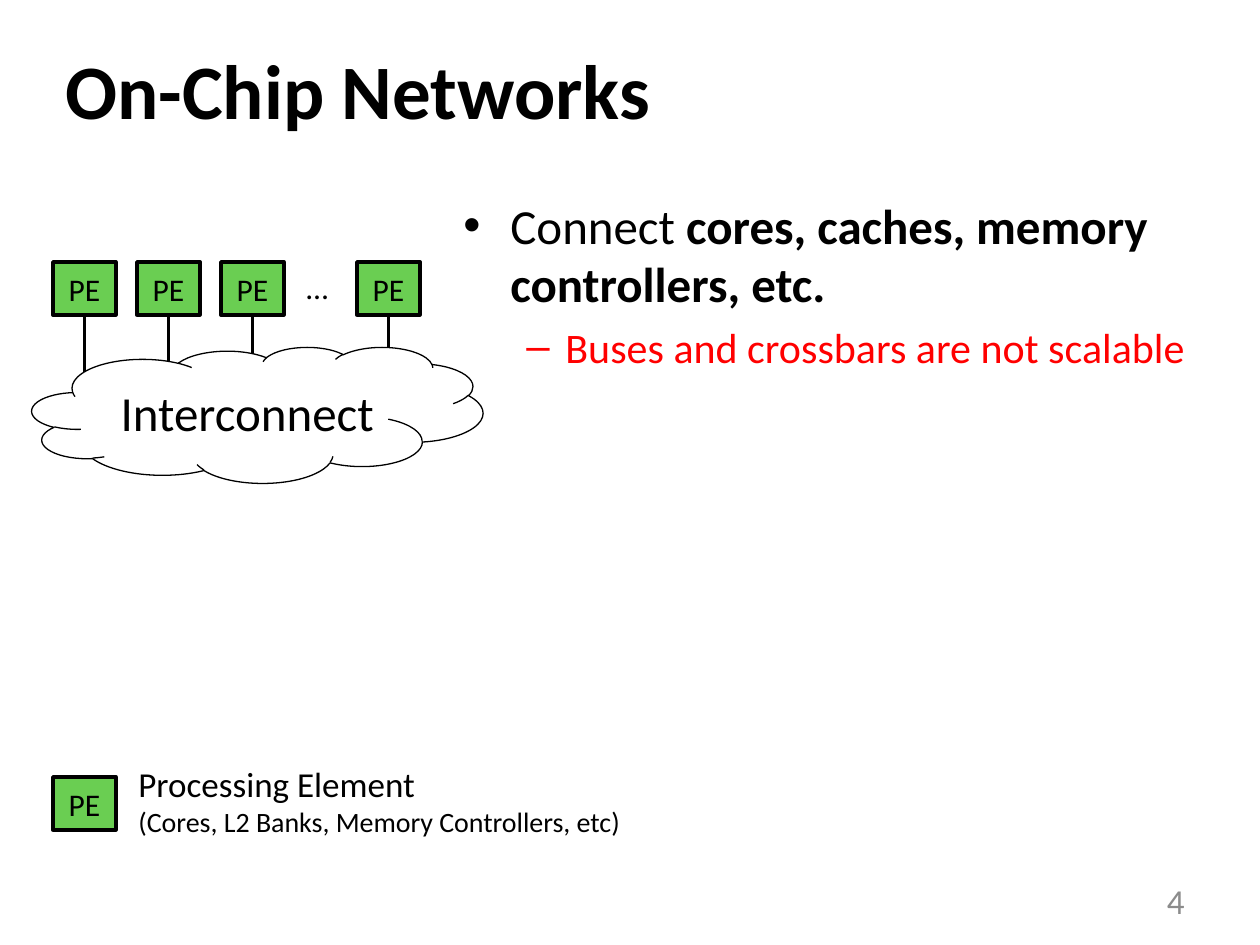
from dataclasses import dataclass
from typing import NamedTuple

from lxml.etree import SubElement
from pptx import Presentation
from pptx.dml.color import RGBColor
from pptx.enum.shapes import MSO_CONNECTOR, MSO_SHAPE
from pptx.enum.text import MSO_ANCHOR, PP_ALIGN
from pptx.oxml.ns import qn
from pptx.util import Emu, Pt


@dataclass(frozen=True)
class Theme:
    font: str = "Calibri"
    black: str = "000000"
    white: str = "FFFFFF"
    green: str = "6ACE52"
    red: str = "FF0000"
    gray: str = "8C8C8C"
    title: int = 44
    body: int = 28
    sub: int = 24
    label: int = 20
    pe: int = 18
    note: int = 16


class Box(NamedTuple):
    x: int
    y: int
    w: int
    h: int


class Run(NamedTuple):
    text: str
    size: int
    color: str = Theme.black
    bold: bool = False


class Para(NamedTuple):
    runs: list[Run]
    align: PP_ALIGN = PP_ALIGN.LEFT
    bullet: str = ""
    level: int = 0
    margin: int = 0
    hanging: int = 0
    before: float = 0


T = Theme()


def px(n: float) -> Emu:
    return Emu(round(n * 914400 / 126))


def rgb(color: str) -> RGBColor:
    return RGBColor.from_string(color)


def fill_text(shape, paras: list[Para], anchor=MSO_ANCHOR.TOP, wrap: bool = True) -> None:
    tf = shape.text_frame
    tf.word_wrap = wrap
    tf.vertical_anchor = anchor
    for i, para in enumerate(paras):
        p = tf.add_paragraph() if i else tf.paragraphs[0]
        p.alignment = para.align
        p.level = para.level
        if para.bullet:
            p.space_before = Pt(para.before)
            pPr = p._p.get_or_add_pPr()
            pPr.set("marL", str(px(para.margin)))
            pPr.set("indent", str(-px(para.hanging)))
            SubElement(pPr, qn("a:buFont"), typeface="Arial")
            SubElement(pPr, qn("a:buChar"), char=para.bullet)
        for run in para.runs:
            r = p.add_run()
            r.text = run.text
            r.font.name = T.font
            r.font.size = Pt(run.size)
            r.font.bold = run.bold
            r.font.color.rgb = rgb(run.color)


def add_text(s, box: Box, paras: list[Para], anchor=MSO_ANCHOR.TOP, wrap: bool = True) -> None:
    fill_text(s.shapes.add_textbox(*map(px, box)), paras, anchor, wrap)


def add_block(s, kind: MSO_SHAPE, box: Box, fill: str, width: float, run: Run):
    sp = s.shapes.add_shape(kind, *map(px, box))
    sp.shadow.inherit = False
    sp.fill.solid()
    sp.fill.fore_color.rgb = rgb(fill)
    sp.line.color.rgb = rgb(T.black)
    sp.line.width = Pt(width)
    fill_text(sp, [Para([run], PP_ALIGN.CENTER)], MSO_ANCHOR.MIDDLE)
    return sp


def add_pe(s, x: int, y: int) -> None:
    sp = add_block(s, MSO_SHAPE.RECTANGLE, Box(x, y, PE_W, PE_H), T.green, 2, Run("PE", T.pe))
    sp.text_frame.margin_left = sp.text_frame.margin_right = 0


def add_link(s, x: float, top: int, bottom: int) -> None:
    c = s.shapes.add_connector(MSO_CONNECTOR.STRAIGHT, px(x), px(top), px(x), px(bottom))
    c.line.color.rgb = rgb(T.black)
    c.line.width = Pt(2)
    SubElement(c._element.spPr, qn("a:effectLst"))


prs = Presentation()
prs.slide_width, prs.slide_height = px(1260), px(945)
s = prs.slides.add_slide(prs.slide_layouts[6])

# Title and slide number
add_text(s, Box(53, 10, 1134, 158), [Para([Run("On-Chip Networks", T.title, bold=True)])],
         MSO_ANCHOR.MIDDLE)
add_text(s, Box(903, 876, 294, 50), [Para([Run("4", T.label, T.gray)], PP_ALIGN.RIGHT)],
         MSO_ANCHOR.MIDDLE)

# Bullets
add_text(s, Box(451, 189, 788, 557), [
    Para([Run("Connect ", T.body),
          Run("cores, caches, memory controllers, etc.", T.body, bold=True)],
         bullet="\u2022", margin=47, hanging=47, before=5.6),
    Para([Run("Buses and crossbars are not scalable", T.sub, T.red)],
         bullet="\u2013", level=1, margin=102, hanging=39, before=4.8),
])

# Row of processing elements with their links
PE_W, PE_H, PE_LEFT, PE_TOP, PE_PITCH = 63, 53, 53, 262, 84
pe_xs = [PE_LEFT + i * PE_PITCH for i in range(3)] + [357]
for x in pe_xs:
    add_pe(s, x, PE_TOP)
    add_link(s, x + PE_W / 2, PE_TOP + PE_H, 378)
add_text(s, Box(294, PE_TOP, 48, 50), [Para([Run("\u2026", T.pe)])], wrap=False)

# Interconnect cloud, label set slightly right of centre
cloud = add_block(s, MSO_SHAPE.CLOUD, Box(32, 347, 451, 136), T.white, 0.75,
                  Run("Interconnect", T.body))
cloud.text_frame.margin_left = px(24)

# Legend
add_pe(s, PE_LEFT, 777)
add_text(s, Box(126, 756, 513, 89), [
    Para([Run("Processing Element", T.label)]),
    Para([Run("(Cores, L2 Banks, Memory Controllers, etc)", T.note)]),
], wrap=False)

prs.save("out.pptx")
